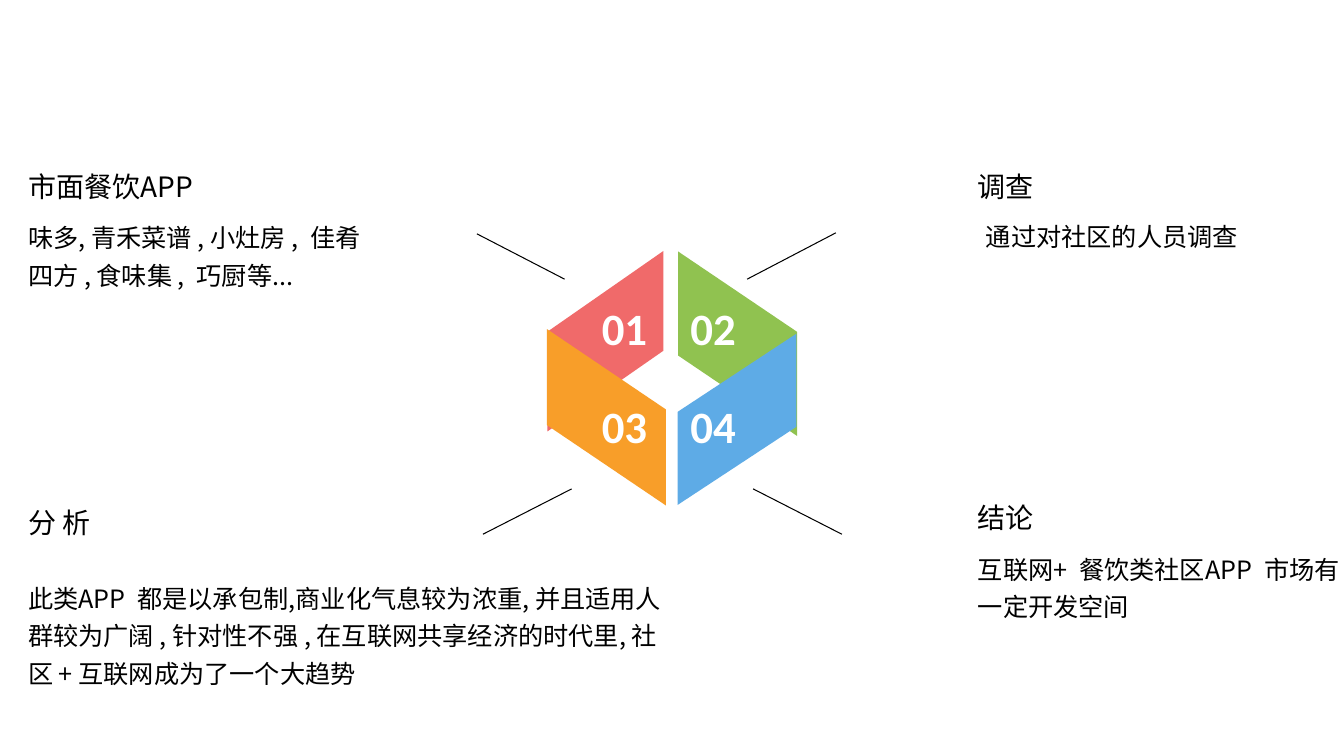
import pptx
import pptx.util
import pptx.dml.color
import pptx.enum.shapes
import pptx.enum.text
import pptx.oxml.ns
from lxml import etree

Inches = pptx.util.Inches
HAN = "Noto Sans CJK SC"
HEAD = {"size": pptx.util.Pt(20), "name": HAN}
BODY = {"size": pptx.util.Pt(18), "name": HAN}
DIGIT = {"size": pptx.util.Pt(32), "name": "Calibri", "bold": True}
GAP = "~"  # marks a widened space
WIDE = "430"  # extra tracking of that space, in hundredths of a point

# left, top, width, height, skew, fill, mirrored
BANDS = [
    (5.11, 2.81, 1.79, 1.15, 0.696, "F06A6A", True),
    (5.14, 3.55, 1.75, 1.18, 0.676, "F89E29", False),
    (6.4, 2.82, 1.83, 1.18, 0.676, "90C250", False),
    (6.46, 3.57, 1.7, 1.18, 0.658, "5EABE6", True),
]
RAYS = [
    (4.73, 2.32, 5.6, 2.77),
    (4.79, 5.3, 5.67, 4.85),
    (7.41, 2.77, 8.29, 2.31),
    (7.47, 4.85, 8.35, 5.3),
]
# left, top, width, height, words
HEADS = [
    (0.18, 1.63, 4.27, 0.43, "市面餐饮APP"),
    (0.18, 4.97, 1.98, 0.43, "分 析"),
    (9.6, 1.63, 4.27, 0.43, "调查"),
    (9.6, 4.92, 4.27, 0.43, "结论"),
]
NOTES = [
    (0.18, 2.08, 3.57, 1.23,
     "味多, 青禾菜谱 , 小灶房 ,~佳肴四方 , 食味集 ,~巧厨等..."),
    (0.18, 5.66, 6.57, 1.18,
     "此类APP~都是以承包制,商业化气息较为浓重, 并且适用人群较为广阔 , "
     "针对性不强 , 在互联网共享经济的时代里, 社区 + 互联网成为了一个大趋势"),
    (9.68, 2.07, 3.65, 0.43, "通过对社区的人员调查"),
    (9.6, 5.37, 3.83, 0.85, "互联网+~餐饮类社区APP~市场有一定开发空间"),
]


def paint(code):
    return pptx.dml.color.RGBColor.from_string(code)


def add_band(slide, left, top, width, height, skew, fill, flip):
    kind = pptx.enum.shapes.MSO_SHAPE.PARALLELOGRAM
    band = slide.shapes.add_shape(
        kind, Inches(left), Inches(top), Inches(width), Inches(height))
    band.adjustments[0] = skew
    band.rotation = 90
    band.shadow.inherit = False
    band.fill.solid()
    band.fill.fore_color.rgb = paint(fill)
    band.line.fill.background()
    if flip:
        band._element.spPr.find(pptx.oxml.ns.qn("a:xfrm")).set("flipH", "1")


def add_ray(slide, *ends):
    kind = pptx.enum.shapes.MSO_CONNECTOR.STRAIGHT
    ray = slide.shapes.add_connector(kind, *[Inches(end) for end in ends])
    ray.line.color.rgb = paint("000000")
    ray.line.width = pptx.util.Pt(0.75)
    etree.SubElement(ray._element.spPr, pptx.oxml.ns.qn("a:effectLst"))


def add_run(para, words, style, color):
    run = para.add_run()
    run.text = words
    for key, value in style.items():
        setattr(run.font, key, value)
    run.font.color.rgb = paint(color)
    # East Asian glyphs take the same face
    face = etree.SubElement(run.font._element, pptx.oxml.ns.qn("a:ea"))
    face.set("typeface", style["name"])
    return run


def add_text(slide, left, top, width, height, words, style,
             color="000000", space=1.0):
    box = slide.shapes.add_textbox(
        Inches(left), Inches(top), Inches(width), Inches(height))
    frame = box.text_frame
    frame.word_wrap = True
    frame.auto_size = pptx.enum.text.MSO_AUTO_SIZE.SHAPE_TO_FIT_TEXT
    para = frame.paragraphs[0]
    para.line_spacing = space
    for index, part in enumerate(words.split(GAP)):
        if index:
            blank = add_run(para, " ", style, color)
            blank.font._element.set("spc", WIDE)
        add_run(para, part, style, color)


def main():
    deck = pptx.Presentation()
    deck.slide_width = Inches(13.33)
    deck.slide_height = Inches(7.5)
    slide = deck.slides.add_slide(deck.slide_layouts[6])

    # Folded hexagon
    for band in BANDS:
        add_band(slide, *band)

    # Numbers in a two by two grid
    for index in range(4):
        row, col = divmod(index, 2)
        add_text(slide, 5.87 + 0.88 * col, 2.93 + 0.98 * row, 0.79, 0.64,
                 f"{index + 1:02d}", DIGIT, "FFFFFF")

    # Lines out to the four topics
    for ray in RAYS:
        add_ray(slide, *ray)

    # Topics
    for head in HEADS:
        add_text(slide, *head, HEAD)
    for note in NOTES:
        add_text(slide, *note, BODY, space=1.25)

    deck.save("out.pptx")


if __name__ == "__main__":
    main()
